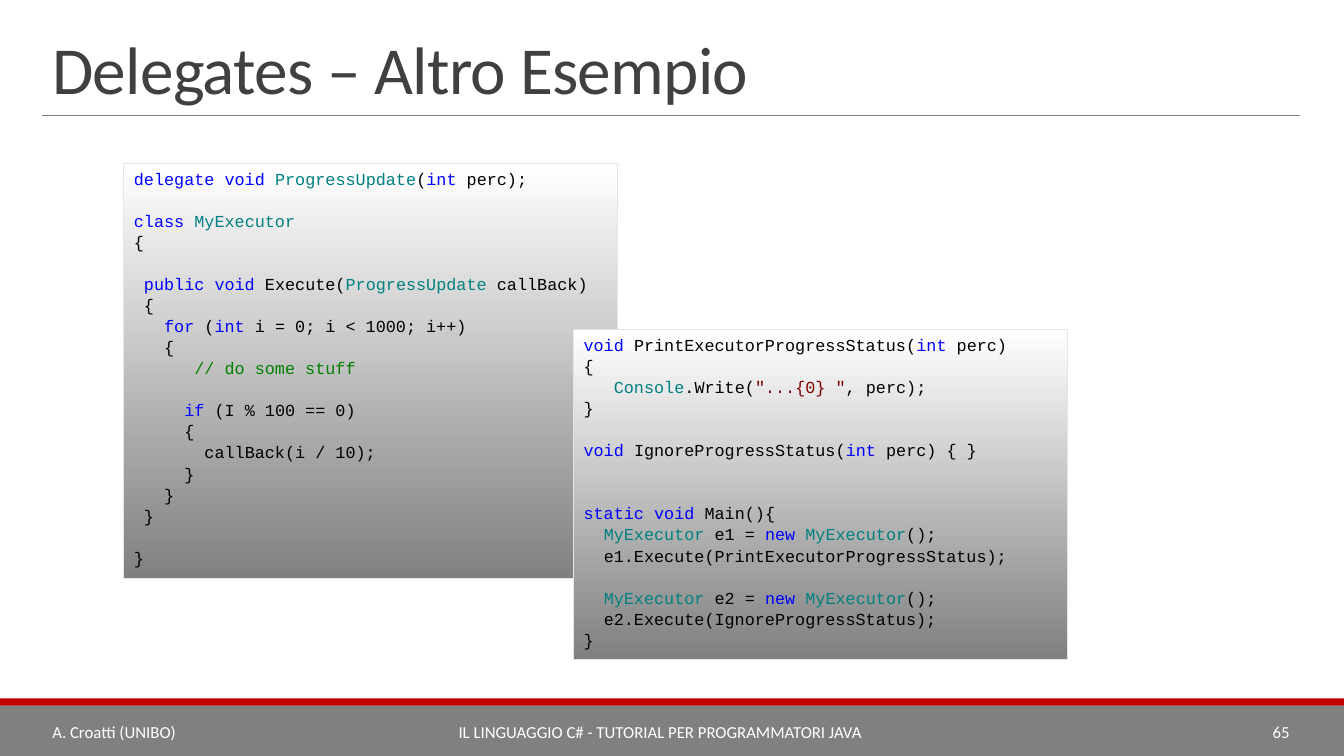
from dataclasses import dataclass

from lxml import etree
from pptx import Presentation
from pptx.dml.color import RGBColor as RGB
from pptx.enum.shapes import MSO_CONNECTOR as CONN, MSO_SHAPE as SHAPE
from pptx.enum.text import MSO_ANCHOR as ANCHOR, PP_ALIGN as ALIGN
from pptx.oxml.ns import qn
from pptx.util import Inches, Pt


@dataclass(frozen=True)
class Theme:
    heading: str = "404040"
    gray: str = "808080"
    red: str = "C00000"
    white: str = "FFFFFF"
    border: str = "E9E5DC"
    # syntax colours
    plain: str = "000000"
    keyword: str = "0000FF"
    type: str = "008080"
    comment: str = "008000"
    string: str = "800000"
    # type
    font: str = "Calibri"
    mono: str = "Courier New"
    title_size: float = 48
    size: float = 12
    code_gap: float = 0.65    # points above each code line
    code_pitch: float = 15.04  # points from one code line to the next


class Deck:
    CELL = 0.1  # inches per grid column or row, also one code character

    def __init__(self, theme):
        self.theme = theme
        self.prs = Presentation()
        self.prs.slide_width, self.prs.slide_height = Inches(13.33), Inches(7.5)
        self.slide = self.prs.slides.add_slide(self.prs.slide_layouts[6])

    def grid(self, *cells):
        return [Inches(c * self.CELL) for c in cells]

    def run(self, p, text, color, font, size):
        r = p.add_run()
        r.text = text
        r.font.name, r.font.size = font, Pt(size)
        r.font.color.rgb = RGB.from_string(color)
        return r

    def band(self, box, color):
        sp = self.slide.shapes.add_shape(SHAPE.RECTANGLE, *self.grid(*box))
        sp.shadow.inherit = False
        sp.fill.solid()
        sp.fill.fore_color.rgb = RGB.from_string(color)
        sp.line.fill.background()

    def rule(self, x1, x2, y):
        ln = self.slide.shapes.add_connector(CONN.STRAIGHT, *self.grid(x1, y, x2, y))
        ln.line.color.rgb = RGB.from_string(self.theme.gray)
        ln.line.width = Pt(0.5)
        etree.SubElement(ln._element.spPr, qn("a:effectLst"))

    def text(self, box, text, color, size, align=ALIGN.LEFT, anchor=ANCHOR.MIDDLE):
        tf = self.slide.shapes.add_textbox(*self.grid(*box)).text_frame
        tf.word_wrap, tf.vertical_anchor = True, anchor
        p = tf.paragraphs[0]
        p.alignment = align
        return p, self.run(p, text, color, self.theme.font, size)

    def title(self, box, text):
        t = self.theme
        p, r = self.text(box, text, t.heading, t.title_size, anchor=ANCHOR.BOTTOM)
        p.line_spacing = 0.85
        r.font._element.set("spc", "-50")

    def code(self, box, lines):
        """Each line is (blank lines above, indent in characters, *(kind, text))."""
        t = self.theme
        sp = self.slide.shapes.add_shape(SHAPE.RECTANGLE, *self.grid(*box))
        sp.shadow.inherit = False
        sp.fill.gradient()
        sp.fill.gradient_angle = 270
        for stop, color in zip(sp.fill.gradient_stops, (t.white, t.gray)):
            stop.color.rgb = RGB.from_string(color)
        first, last = sp.fill.gradient_stops
        first.position, last.position = 0, 1
        sp.line.color.rgb = RGB.from_string(t.border)
        sp.line.width = Pt(0.75)
        tf = sp.text_frame
        tf.word_wrap, tf.vertical_anchor = True, ANCHOR.TOP
        for i, (blanks, indent, *runs) in enumerate(lines):
            p = tf.add_paragraph() if i else tf.paragraphs[0]
            p.alignment = ALIGN.LEFT
            p.space_before = Pt(t.code_gap + blanks * t.code_pitch)
            pPr = p._p.get_or_add_pPr()
            pPr.set("marL", str(self.grid(indent)[0]))
            pPr.set("indent", "0")
            for kind, text in runs:
                self.run(p, text, getattr(t, kind), t.mono, t.size)


def plain(text):
    return "plain", text


def kw(text):
    return "keyword", text


def typ(text):
    return "type", text


EXECUTOR = [
    (0, 0, kw("delegate void "), typ("ProgressUpdate"), plain("("), kw("int "), plain("perc);")),
    (1, 0, kw("class "), typ("MyExecutor")),
    (0, 0, plain("{")),
    (1, 1, kw("public void "), plain("Execute("), typ("ProgressUpdate "), plain("callBack)")),
    (0, 1, plain("{")),
    (0, 3, kw("for"), plain(" ("), kw("int"), plain(" i = 0; i < 1000; i++)")),
    (0, 3, plain("{")),
    (0, 6, ("comment", "// do some stuff")),
    (1, 5, kw("if "), plain("(I % 100 == 0)")),
    (0, 5, plain("{")),
    (0, 7, plain("callBack(i / 10);")),
    (0, 5, plain("}")),
    (0, 3, plain("}")),
    (0, 1, plain("}")),
    (1, 0, plain("}")),
]


def usage(blanks, name, callback):
    return [
        (blanks, 2, typ("MyExecutor "), plain(f"{name} = "), kw("new "),
         typ("MyExecutor"), plain("();")),
        (0, 2, plain(f"{name}.Execute({callback});")),
    ]


MAIN = [
    (0, 0, kw("void "), plain("PrintExecutorProgressStatus("), kw("int "), plain("perc)")),
    (0, 0, plain("{")),
    (0, 3, typ("Console"), plain(".Write("), ("string", '"...{0} "'), plain(", perc);")),
    (0, 0, plain("}")),
    (1, 0, kw("void "), plain("IgnoreProgressStatus("), kw("int "), plain("perc) { }")),
    (2, 0, kw("static void"), plain(" Main(){")),
    *usage(0, "e1", "PrintExecutorProgressStatus"),
    *usage(1, "e2", "IgnoreProgressStatus"),
    (0, 0, plain("}")),
]


def main():
    t = Theme()
    d = Deck(t)

    # Footer bands and title
    d.band((0, 70, 133.3, 5), t.gray)
    d.band((0, 69.3, 133.3, 0.7), t.red)
    d.rule(4.2, 128.9, 11.4)
    d.title((4.2, 3.1, 124.7, 8.1), "Delegates – Altro Esempio")

    # Code panels
    d.code((12.3, 16.2, 49, 41.2), EXECUTOR)
    d.code((56.9, 32.7, 49, 32.7), MAIN)

    # Footer text, laid side by side
    left = 4.2
    for width, text, align in (
        (18.5, "A. Croatti (UNIBO)", ALIGN.LEFT),
        (85.6, "IL LINGUAGGIO C# - TUTORIAL PER PROGRAMMATORI JAVA", ALIGN.CENTER),
        (20.6, "65", ALIGN.RIGHT),
    ):
        d.text((left, 70.6, width, 4), text, t.white, t.size, align)
        left += width

    d.prs.save("out.pptx")


if __name__ == "__main__":
    main()
